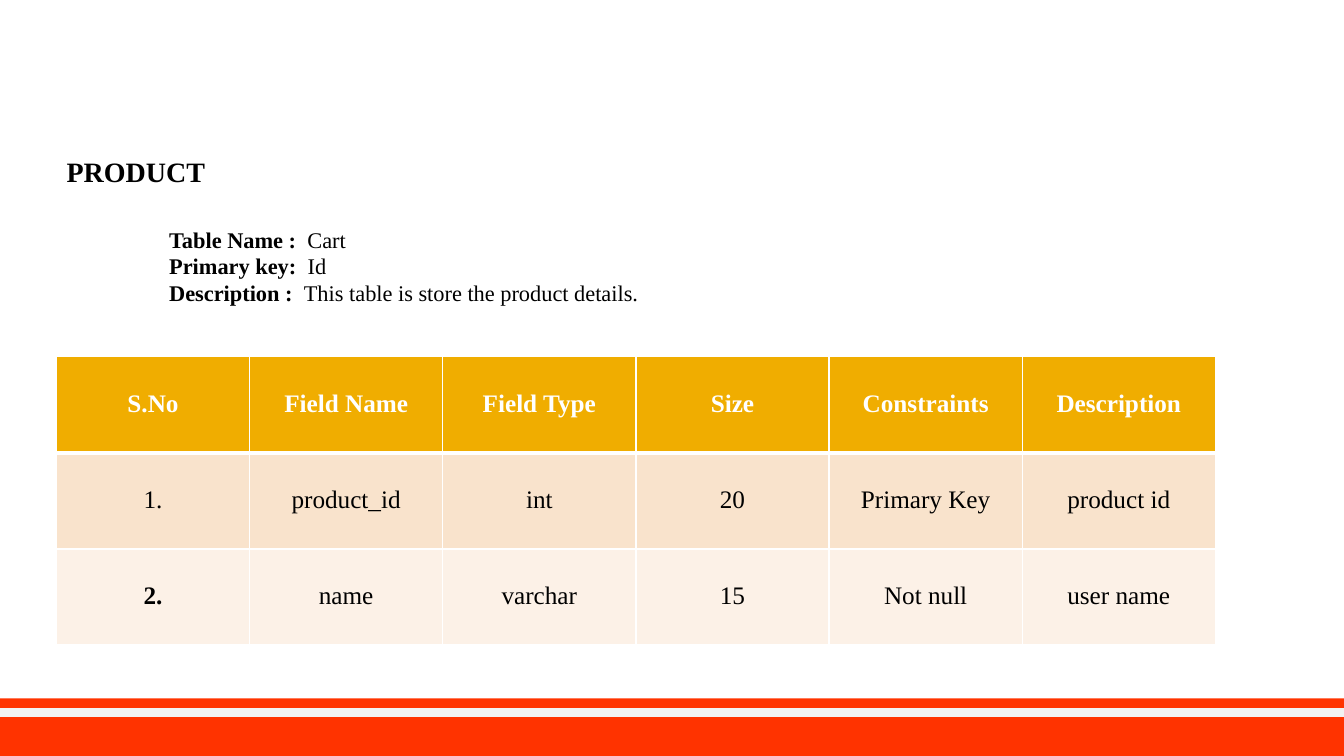
from pptx import Presentation
from pptx.dml.color import RGBColor
from pptx.enum.shapes import MSO_CONNECTOR, MSO_SHAPE
from pptx.enum.text import MSO_ANCHOR, MSO_AUTO_SIZE, PP_ALIGN
from pptx.oxml.ns import qn
from pptx.util import Inches, Pt
from lxml.etree import SubElement

BLACK = RGBColor(0x00, 0x00, 0x00)
WHITE = RGBColor(0xFF, 0xFF, 0xFF)
RED = RGBColor(0xFF, 0x33, 0x00)
LIGHT_GREY = RGBColor(0xF2, 0xF2, 0xF2)
AMBER = RGBColor(0xF0, 0xAD, 0x00)
PEACH = RGBColor(0xF9, 0xE3, 0xCC)
CREAM = RGBColor(0xFC, 0xF1, 0xE7)

FACTS = [
    ("Table Name :  ", "Cart"),
    ("Primary key:  ", "Id"),
    ("Description :  ", "This table is store the product details."),
]
FIELDS = [
    ("S.No", "Field Name", "Field Type", "Size", "Constraints", "Description"),
    ("1.", "product_id", "int", "20", "Primary Key", "product id"),
    ("2.", "name", "varchar", "15", "Not null", "user name"),
]
ROW_FILLS = [AMBER, PEACH, CREAM]


class SlideBuilder:
    font_name = "Times New Roman"

    def __init__(self, slide):
        self.slide = slide
        self.shapes = slide.shapes

    def style(self, font, size, color=BLACK, bold=None):
        font.name, font.size, font.bold = self.font_name, Pt(size), bold
        font.color.rgb = color

    def bar(self, left, top, width, height, color):
        bar = self.shapes.add_shape(MSO_SHAPE.RECTANGLE, Inches(left), Inches(top),
                                    Inches(width), Inches(height))
        bar.shadow.inherit = False
        bar.fill.solid()
        bar.fill.fore_color.rgb = color
        bar.line.fill.background()

    def rule(self, left, right, y, color, weight):
        rule = self.shapes.add_connector(MSO_CONNECTOR.STRAIGHT, Inches(left), Inches(y),
                                         Inches(right), Inches(y))
        rule.line.color.rgb = color
        rule.line.width = Pt(weight)
        SubElement(rule._element.spPr, qn("a:effectLst"))

    def title(self, text, left, top, width, height):
        title = self.shapes.title
        title.left, title.top = Inches(left), Inches(top)
        title.width, title.height = Inches(width), Inches(height)
        frame = title.text_frame
        frame.text = text
        frame.word_wrap = True
        frame.auto_size = MSO_AUTO_SIZE.SHAPE_TO_FIT_TEXT
        frame.vertical_anchor = MSO_ANCHOR.TOP
        heading = frame.paragraphs[0]
        heading.alignment = PP_ALIGN.LEFT
        self.style(heading.font, 20, bold=True)

    def labelled_lines(self, facts, left, top, width, height):
        frame = self.shapes.add_textbox(Inches(left), Inches(top),
                                        Inches(width), Inches(height)).text_frame
        frame.word_wrap = True
        frame.auto_size = MSO_AUTO_SIZE.SHAPE_TO_FIT_TEXT
        for index, (label, value) in enumerate(facts):
            line = frame.add_paragraph() if index else frame.paragraphs[0]
            self.style(line.font, 16)
            for text, bold in ((label, True), (value, False)):
                run = line.add_run()
                run.text = text
                run.font.bold = bold

    def border(self, cell, side, weight):
        edge = SubElement(cell._tc.get_or_add_tcPr(), qn(f"a:ln{side}"), w=str(Pt(weight)))
        fill = SubElement(edge, qn("a:solidFill"))
        SubElement(fill, qn("a:srgbClr"), val=str(WHITE))

    def table(self, rows, fills, left, top, col_width, row_height):
        count = len(rows[0])
        table = self.shapes.add_table(
            len(rows), count, Inches(left), Inches(top),
            Inches(col_width * count), Inches(row_height * len(rows))).table
        for column in table.columns:
            column.width = Inches(col_width)
        for r, (texts, fill) in enumerate(zip(rows, fills)):
            table.rows[r].height = Inches(row_height)
            for c, text in enumerate(texts):
                cell = table.cell(r, c)
                cell.text = text
                cell.vertical_anchor = MSO_ANCHOR.MIDDLE
                # The edge under the header row is heavier
                for side in "LRTB":
                    heavy = (r, side) in ((0, "B"), (1, "T"))
                    self.border(cell, side, 3 if heavy else 1)
                cell.fill.solid()
                cell.fill.fore_color.rgb = fill
                entry = cell.text_frame.paragraphs[0]
                entry.alignment = PP_ALIGN.CENTER
                entry.line_spacing = 0.9
                self.style(entry.font, 18, BLACK if r else WHITE,
                           bold=r == 0 or text == "2.")


def main():
    deck = Presentation()
    deck.slide_width, deck.slide_height = Inches(13.33), Inches(7.5)
    title_only = deck.slide_layouts[5]
    page = SlideBuilder(deck.slides.add_slide(title_only))

    # Footer band
    page.bar(-0.02, 6.93, 13.36, 0.57, RED)
    page.rule(-0.02, 13.33, 7.07, LIGHT_GREY, 6)

    # Heading and table facts
    page.title("PRODUCT", 0.56, 1.48, 1.7, 0.44)
    page.labelled_lines(FACTS, 1.58, 2.19, 7.4, 0.91)

    # Field definitions
    page.table(FIELDS, ROW_FILLS, 0.56, 3.54, 1.916, 0.953)

    deck.save("out.pptx")


if __name__ == "__main__":
    main()
